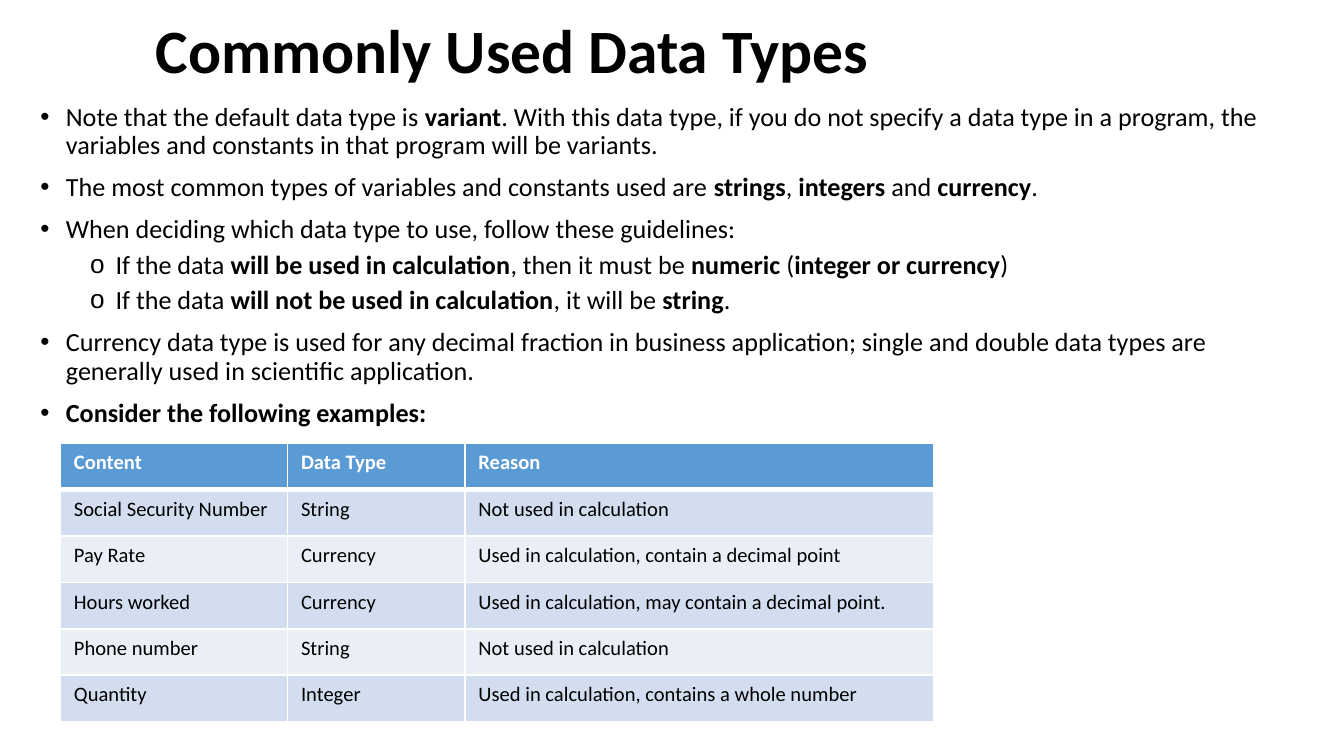
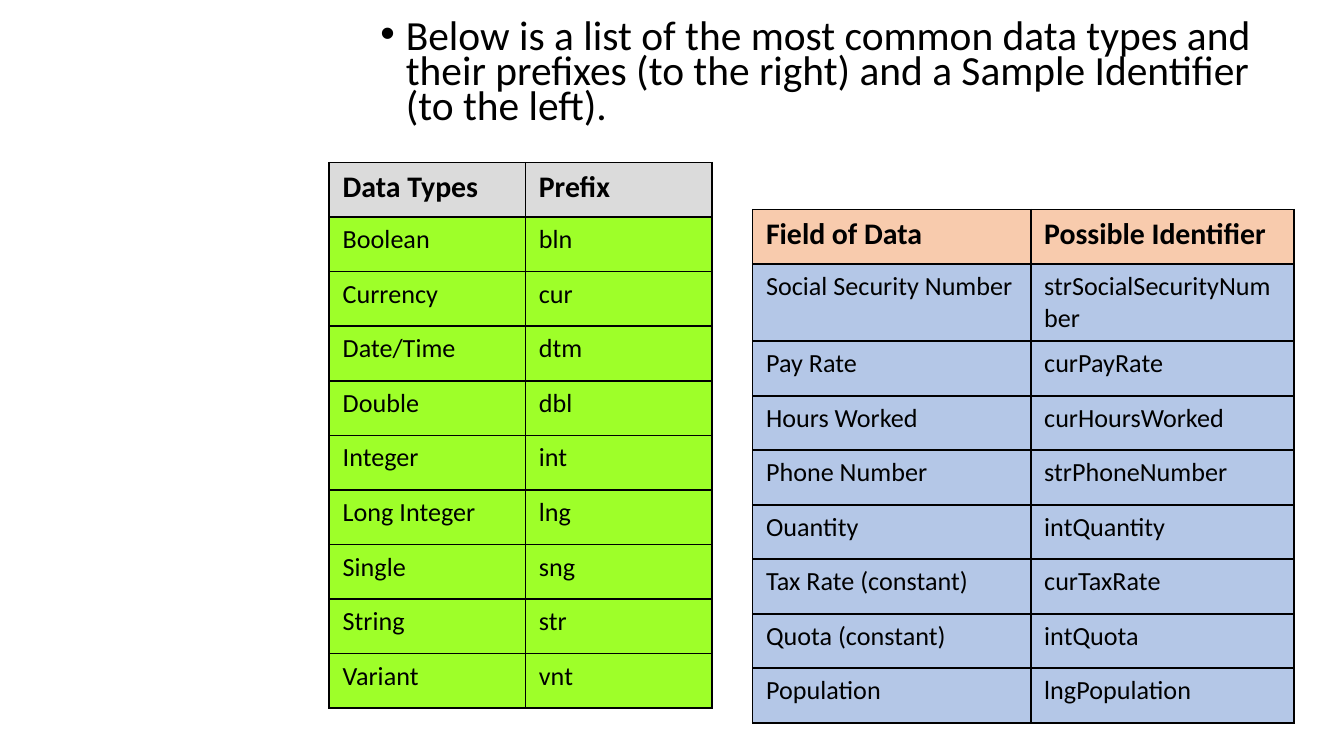
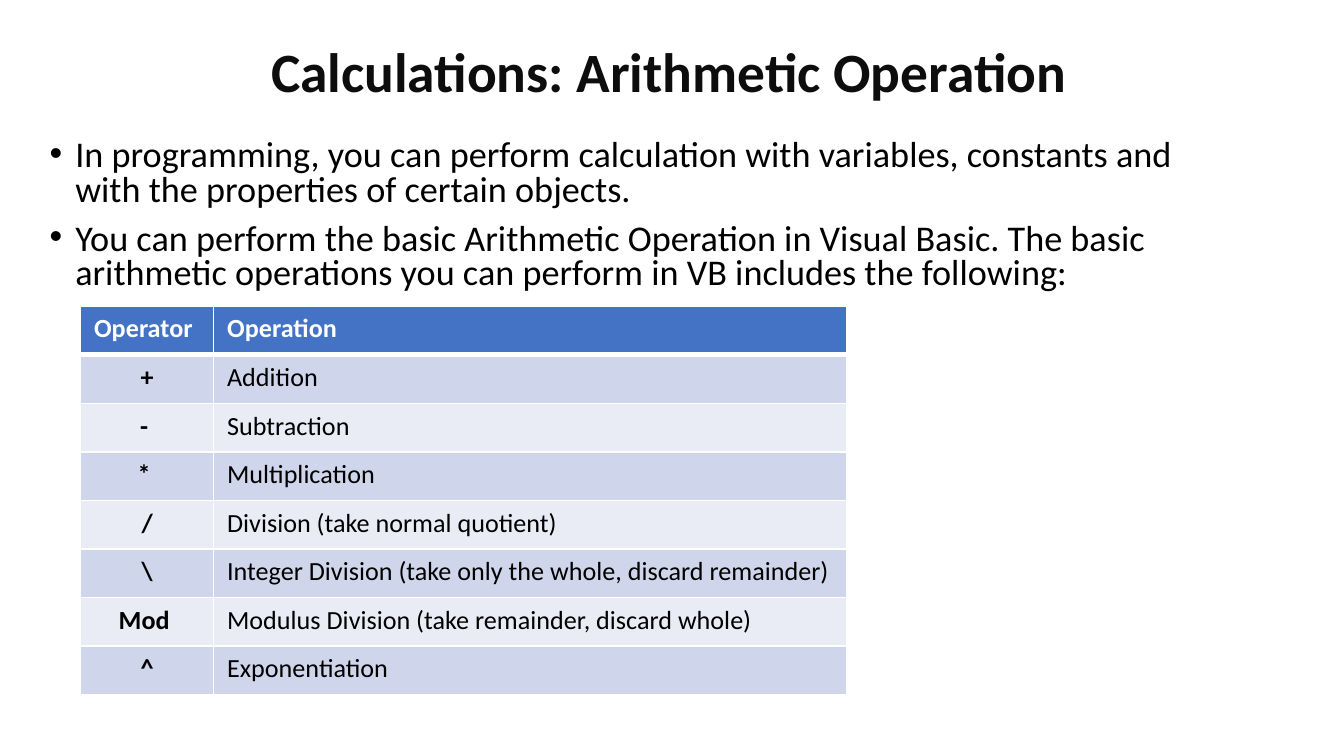
import dataclasses
import typing

import pptx
import pptx.dml.color
import pptx.enum.text
import pptx.oxml
import pptx.oxml.ns
import pptx.util

Inches = pptx.util.Inches
Pt = pptx.util.Pt
ALIGN = pptx.enum.text.PP_ALIGN

# Shared style
FONT = "Calibri"
BLACK = "000000"
WHITE = "FFFFFF"
BOLD_MARK = "**"
INDENT = 0.19
BULLETS = ["•", "o"]
BULLET_LEFT = [0.19, 0.56]
SPACE_BEFORE = [7.5, 3.8]


class Box(typing.NamedTuple):
    left: float
    top: float
    width: float
    height: float


@dataclasses.dataclass
class Title:
    text: str
    box: Box
    size: float
    color: str = BLACK
    align: typing.Any = ALIGN.LEFT


@dataclasses.dataclass
class BulletList:
    items: list[tuple[int, str]]  # level and text, with bold parts marked
    box: Box
    size: float
    line_spacing: float


@dataclasses.dataclass
class TableStyle:
    header_fill: str
    band_fills: list[str]
    header_color: str = BLACK
    border: str = BLACK
    header_rule: float = 1


@dataclasses.dataclass
class Table:
    rows: list[list[str]]
    box: Box
    columns: list[float]
    rows_height: float  # shared equally by the rows
    style: TableStyle
    header_size: float = 14
    size: float = 14
    key_column: bool = False  # first column bold and centred


BLUE = TableStyle("5B9BD5", ["D2DEEF", "EAEFF7"], WHITE, WHITE, 3)
INDIGO = TableStyle("4472C4", ["CFD5EA", "E9EBF5"], WHITE, WHITE, 3)
GREEN = TableStyle("DBDBDB", ["9EFF29"])
PEACH = TableStyle("F8CBAD", ["B4C7E7"])


# Helpers
def rgb(color: str) -> pptx.dml.color.RGBColor:
    return pptx.dml.color.RGBColor.from_string(color)


def write(paragraph, text: str, *, size: float, color: str = BLACK,
          bold: bool = False, align=ALIGN.LEFT, line_spacing: float = 1.0) -> None:
    """Write text; parts between bold marks switch the weight."""
    paragraph.alignment = align
    paragraph.line_spacing = line_spacing
    for index, part in enumerate(text.split(BOLD_MARK)):
        if part:
            run = paragraph.add_run()
            run.text = part
            run.font.name = FONT
            run.font.size = Pt(size)
            run.font.bold = bold or index % 2 == 1
            run.font.color.rgb = rgb(color)


def add_bullet(paragraph, level: int) -> None:
    paragraph.level = level
    paragraph.space_before = Pt(SPACE_BEFORE[level])
    properties = paragraph._p.get_or_add_pPr()
    properties.set("marL", str(Inches(BULLET_LEFT[level])))
    properties.set("indent", str(-Inches(INDENT)))
    properties.append(pptx.oxml.parse_xml(
        f'<a:buChar {pptx.oxml.ns.nsdecls("a")} char="{BULLETS[level]}"/>'))


def set_borders(cell, color: str, top: float, bottom: float) -> None:
    properties = cell._tc.get_or_add_tcPr()
    for side, width in (("L", 1), ("R", 1), ("T", top), ("B", bottom)):
        properties.append(pptx.oxml.parse_xml(
            f'<a:ln{side} {pptx.oxml.ns.nsdecls("a")} w="{Pt(width)}">'
            f'<a:solidFill><a:srgbClr val="{color}"/></a:solidFill></a:ln{side}>'))


def place(shape, box: Box):
    shape.left, shape.top, shape.width, shape.height = map(Inches, box)
    frame = shape.text_frame
    frame.word_wrap = True
    frame.auto_size = pptx.enum.text.MSO_AUTO_SIZE.NONE
    return frame


# Slide parts
def draw_title(slide, title: Title) -> None:
    frame = place(slide.shapes.title, title.box)
    frame.vertical_anchor = pptx.enum.text.MSO_ANCHOR.MIDDLE
    write(frame.paragraphs[0], title.text, size=title.size, color=title.color,
          bold=True, align=title.align, line_spacing=0.9)


def draw_list(slide, bullets: BulletList) -> None:
    frame = place(slide.placeholders[1], bullets.box)
    for index, (level, text) in enumerate(bullets.items):
        paragraph = frame.add_paragraph() if index else frame.paragraphs[0]
        write(paragraph, text, size=bullets.size, line_spacing=bullets.line_spacing)
        add_bullet(paragraph, level)


def draw_table(slide, table: Table) -> None:
    style = table.style
    shape = slide.shapes.add_table(
        len(table.rows), len(table.columns), *map(Inches, table.box))
    grid = shape.table
    grid.horz_banding = False
    for column, width in zip(grid.columns, table.columns):
        column.width = Inches(width)
    for row_index, texts in enumerate(table.rows):
        grid.rows[row_index].height = Inches(table.rows_height / len(table.rows))
        header = row_index == 0
        fill = (style.header_fill if header
                else style.band_fills[(row_index - 1) % len(style.band_fills)])
        for column_index, text in enumerate(texts):
            cell = grid.cell(row_index, column_index)
            key = table.key_column and column_index == 0 and not header
            set_borders(cell, style.border,
                        top=style.header_rule if row_index == 1 else 1,
                        bottom=style.header_rule if header else 1)
            cell.fill.solid()
            cell.fill.fore_color.rgb = rgb(fill)
            write(cell.text_frame.paragraphs[0], text,
                  size=table.header_size if header else table.size,
                  color=style.header_color if header else BLACK,
                  bold=header or key, align=ALIGN.CENTER if key else ALIGN.LEFT)
    shape.height = Inches(table.box.height)


def add_slide(presentation, title: Title | None, bullets: BulletList,
              tables: list[Table]) -> None:
    slide = presentation.slides.add_slide(presentation.slide_layouts[1])
    if title:
        draw_title(slide, title)
    else:
        empty = slide.shapes.title._element
        empty.getparent().remove(empty)
    draw_list(slide, bullets)
    for table in tables:
        draw_table(slide, table)


# Content
def add_data_types(presentation) -> None:
    bullets = [
        (0, "Note that the default data type is **variant**. With this data type, "
            "if you do not specify a data type in a program, the variables and "
            "constants in that program will be variants."),
        (0, "The most common types of variables and constants used are "
            "**strings**, **integers** and **currency**."),
        (0, "When deciding which data type to use, follow these guidelines:"),
        (1, "If the data **will be used in calculation**, then it must be "
            "**numeric** (**integer or currency**)"),
        (1, "If the data **will not be used in calculation**, it will be **string**."),
        (0, "Currency data type is used for any decimal fraction in business "
            "application; single and double data types are generally used in "
            "scientific application."),
        (0, "**Consider the following examples:**"),
    ]
    examples = [
        ["Content", "Data Type", "Reason"],
        ["Social Security Number", "String", "Not used in calculation"],
        ["Pay Rate", "Currency", "Used in calculation, contain a decimal point"],
        ["Hours worked", "Currency", "Used in calculation, may contain a decimal point."],
        ["Phone number", "String", "Not used in calculation"],
        ["Quantity", "Integer", "Used in calculation, contains a whole number"],
    ]
    add_slide(
        presentation,
        Title("Commonly Used Data Types", Box(1.06, 0.07, 6.85, 0.65), 33),
        BulletList(bullets, Box(0.2, 0.72, 9.49, 2.44), 14, 0.9),
        [Table(examples, Box(0.45, 3.3, 6.5, 2.2), [1.69, 1.32, 3.49], 2.07, BLUE,
               header_size=11, size=11)])


def add_prefixes(presentation) -> None:
    prefixes = [
        ["Data Types", "Prefix"],
        ["Boolean", "bln"],
        ["Currency", "cur"],
        ["Date/Time", "dtm"],
        ["Double", "dbl"],
        ["Integer", "int"],
        ["Long Integer", "lng"],
        ["Single", "sng"],
        ["String", "str"],
        ["Variant", "vnt"],
    ]
    identifiers = [
        ["Field of Data", "Possible Identifier"],
        ["Social Security Number", "strSocialSecurityNumber"],
        ["Pay Rate", "curPayRate"],
        ["Hours Worked", "curHoursWorked"],
        ["Phone Number", "strPhoneNumber"],
        ["Ouantity", "intQuantity"],
        ["Tax Rate (constant)", "curTaxRate"],
        ["Quota (constant)", "intQuota"],
        ["Population", "lngPopulation"],
    ]
    add_slide(
        presentation,
        None,
        BulletList([(0, "Below is a list of the most common data types and their "
                        "prefixes (to the right) and a Sample Identifier (to the left).")],
                   Box(2.73, 0.12, 6.75, 0.96), 22.2, 0.7),
        [Table(prefixes, Box(2.45, 1.21, 2.85, 4.06), [1.46, 1.39], 4.06, GREEN,
               header_size=16),
         Table(identifiers, Box(5.6, 1.56, 4.03, 4.04), [2.07, 1.96], 3.65, PEACH,
               header_size=16)])


def add_arithmetic(presentation) -> None:
    bullets = [
        (0, "In programming, you can perform calculation with variables, constants "
            "and with the properties of certain objects."),
        (0, "You can perform the basic Arithmetic Operation in Visual Basic. The "
            "basic arithmetic operations you can perform in VB includes the following:"),
    ]
    operators = [
        ["Operator", "Operation"],
        ["+", "Addition"],
        ["- ", "Subtraction"],
        ["* ", "Multiplication"],
        ["/", "Division (take normal quotient)"],
        ["\\", "Integer Division (take only the whole, discard remainder)"],
        ["Mod ", "Modulus Division (take remainder, discard whole)"],
        ["^", "Exponentiation"],
    ]
    add_slide(
        presentation,
        Title("Calculations: Arithmetic Operation", Box(0.45, 0.28, 9.06, 0.55), 29.7,
              "0D0D0D", ALIGN.CENTER),
        BulletList(bullets, Box(0.27, 0.99, 8.95, 1.29), 19.4, 0.8),
        [Table(operators, Box(0.6, 2.28, 5.7, 3.09), [0.99, 4.71], 2.89, INDIGO,
               key_column=True)])


def main() -> None:
    presentation = pptx.Presentation()
    presentation.slide_width = Inches(10)
    presentation.slide_height = Inches(10 * 9 / 16)
    add_data_types(presentation)
    add_prefixes(presentation)
    add_arithmetic(presentation)
    presentation.save("out.pptx")


if __name__ == "__main__":
    main()
